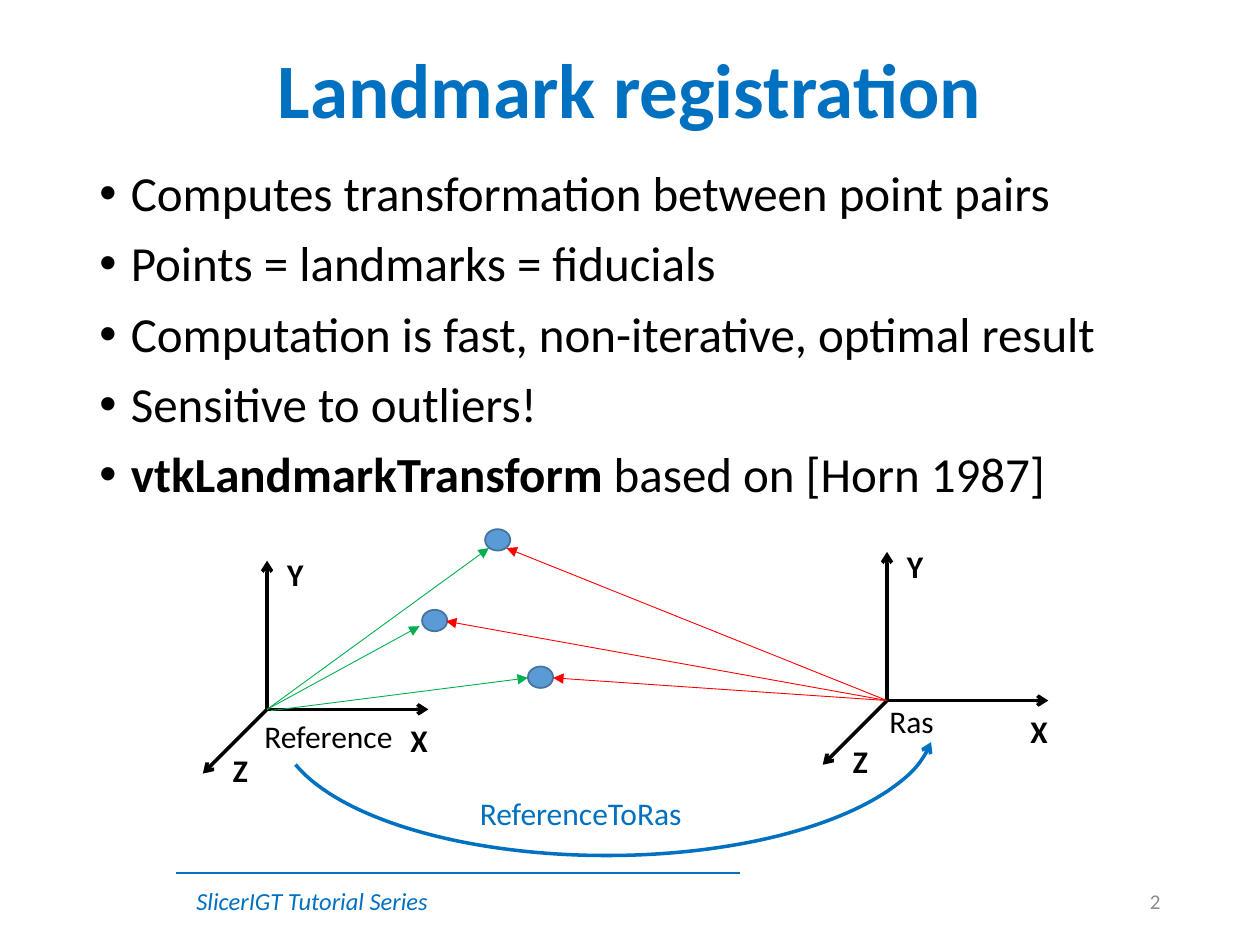
from lxml import etree
from pptx import Presentation
from pptx.dml.color import RGBColor
from pptx.enum.shapes import MSO_CONNECTOR, MSO_SHAPE
from pptx.enum.text import MSO_ANCHOR, MSO_AUTO_SIZE, PP_ALIGN
from pptx.oxml.ns import qn
from pptx.util import Inches, Pt

STRAIGHT = MSO_CONNECTOR.STRAIGHT
OVAL, ARC = MSO_SHAPE.OVAL, MSO_SHAPE.ARC
LEFT, CENTER, RIGHT = PP_ALIGN.LEFT, PP_ALIGN.CENTER, PP_ALIGN.RIGHT
TOP, MIDDLE = MSO_ANCHOR.TOP, MSO_ANCHOR.MIDDLE
FIT, FIXED = MSO_AUTO_SIZE.SHAPE_TO_FIT_TEXT, MSO_AUTO_SIZE.NONE

FONT = "Calibri"
BLACK = RGBColor(0x00, 0x00, 0x00)
BLUE = RGBColor(0x00, 0x70, 0xC0)
GRAY = RGBColor(0x8C, 0x8C, 0x8C)
GREEN = RGBColor(0x00, 0xB0, 0x50)
RED = RGBColor(0xFF, 0x00, 0x00)
POINT_FILL = RGBColor(0x5B, 0x9B, 0xD5)
POINT_LINE = RGBColor(0x43, 0x73, 0x9E)

BULLETS = [
    [("Computes transformation between point pairs", False)],
    [("Points = landmarks = fiducials", False)],
    [("Computation is fast, non-iterative, optimal result", False)],
    [("Sensitive to outliers!", False)],
    [("vtkLandmarkTransform", True), (" based on [Horn 1987]", False)],
]
POINTS = [(3.35, 4.84), (4.19, 5.29), (3.85, 4.2)]
REFERENCE = (2.12, 5.63)
RAS = (7.04, 5.56)
RAYS = [
    (REFERENCE, (3.33, 4.97), GREEN),
    (REFERENCE, (3.88, 4.35), GREEN),
    ((2.15, 5.64), (4.19, 5.38), GREEN),
    (RAS, (4.39, 5.38), RED),
    (RAS, (3.54, 4.93), RED),
    (RAS, (4.02, 4.35), RED),
]
AXES = [
    ("X", (1.28, 0), (1.04, 0.04), 0.34),
    ("Y", (0, -1.18), (0.06, -1.27), 0.33),
    ("Z", (-0.51, 0.51), (-0.37, 0.28), 0.32),
]


def add_box(shapes, x, y, w, h, wrap=False, anchor=TOP):
    tf = shapes.add_textbox(Inches(x), Inches(y), Inches(w), Inches(h)).text_frame
    tf.word_wrap = wrap
    tf.auto_size = FIXED if wrap else FIT
    tf.vertical_anchor = anchor
    return tf


def add_run(p, text, size=18, color=BLACK, bold=False, italic=False):
    r = p.add_run()
    r.text = text
    r.font.name = FONT
    r.font.size = Pt(size)
    r.font.color.rgb = color
    r.font.bold = bold
    r.font.italic = italic


def add_text(shapes, text, x, y, w, h=0.4, wrap=False, anchor=TOP,
             align=LEFT, spacing=1.0, **font):
    p = add_box(shapes, x, y, w, h, wrap, anchor).paragraphs[0]
    p.alignment = align
    p.line_spacing = spacing
    add_run(p, text, **font)


def add_bullets(shapes, items, x, y, w, h):
    tf = add_box(shapes, x, y, w, h, wrap=True)
    for i, runs in enumerate(items):
        p = tf.add_paragraph() if i else tf.paragraphs[0]
        pPr = p._p.get_or_add_pPr()
        pPr.set("marL", str(Inches(0.25)))
        pPr.set("indent", str(-Inches(0.25)))
        etree.SubElement(pPr, qn("a:buFont"), typeface="Arial")
        etree.SubElement(pPr, qn("a:buChar"), char="•")
        p.line_spacing = 0.9
        if i:
            p.space_before = Pt(10)
        for text, bold in runs:
            add_run(p, text, size=28, bold=bold)


def style_line(s, color, width, head=None, tail=None):
    s.line.color.rgb = color
    s.line.width = Pt(width)
    ln = s.line._get_or_add_ln()
    for tag, kind in (("a:headEnd", head), ("a:tailEnd", tail)):
        if kind:
            etree.SubElement(ln, qn(tag), type=kind)


def add_line(shapes, start, end, color, width, tail=None):
    s = shapes.add_connector(STRAIGHT, *map(Inches, start + end))
    style_line(s, color, width, tail=tail)
    etree.SubElement(s._element.spPr, qn("a:effectLst"))


def add_point(shapes, x, y):
    s = shapes.add_shape(OVAL, Inches(x), Inches(y), Inches(0.2), Inches(0.17))
    s.shadow.inherit = False
    s.fill.solid()
    s.fill.fore_color.rgb = POINT_FILL
    style_line(s, POINT_LINE, 1)


def add_axes(shapes, origin):
    group = shapes.add_group_shape().shapes
    x, y = origin
    for name, (dx, dy), (tx, ty), width in AXES:
        add_line(group, origin, (x + dx, y + dy), BLACK, 2, tail="arrow")
        add_text(group, name, x + tx, y + ty, width, bold=True)


def add_arc(shapes, x, y, w, h):
    s = shapes.add_shape(ARC, Inches(x), Inches(y), Inches(w), Inches(h))
    s.adjustments[0] = 2.137
    s.adjustments[1] = 103.324
    s.shadow.inherit = False
    s.fill.background()
    style_line(s, BLUE, 2, head="arrow")


def main():
    prs = Presentation()
    prs.slide_width, prs.slide_height = Inches(10), Inches(7.5)
    shapes = prs.slides.add_slide(prs.slide_layouts[6]).shapes

    add_line(shapes, (1.4, 6.93), (5.87, 6.93), BLUE, 1.25)
    add_text(shapes, "SlicerIGT Tutorial Series", 1.46, 6.98, 2.06, 0.34,
             size=14, color=BLUE, italic=True)
    add_text(shapes, "Landmark registration", 0.69, 0.4, 8.62, 0.69, wrap=True,
             anchor=MIDDLE, align=CENTER, spacing=0.9, size=44, color=BLUE, bold=True)
    add_bullets(shapes, BULLETS, 0.69, 1.29, 8.62, 2.88)
    add_text(shapes, "2", 7.06, 6.95, 2.25, wrap=True, anchor=MIDDLE,
             align=RIGHT, size=12, color=GRAY)

    for x, y in POINTS:
        add_point(shapes, x, y)
    for origin in (REFERENCE, RAS):
        add_axes(shapes, origin)
    add_arc(shapes, 2.21, 4.67, 5.21, 2.12)
    for start, end, color in RAYS:
        add_line(shapes, start, end, color, 0.5, tail="triangle")

    add_text(shapes, "Reference", 2, 5.64, 1.23)
    add_text(shapes, "Ras", 6.96, 5.52, 0.56)
    add_text(shapes, "ReferenceToRas", 3.71, 6.25, 1.82, color=BLUE)
    prs.save("out.pptx")


if __name__ == "__main__":
    main()
